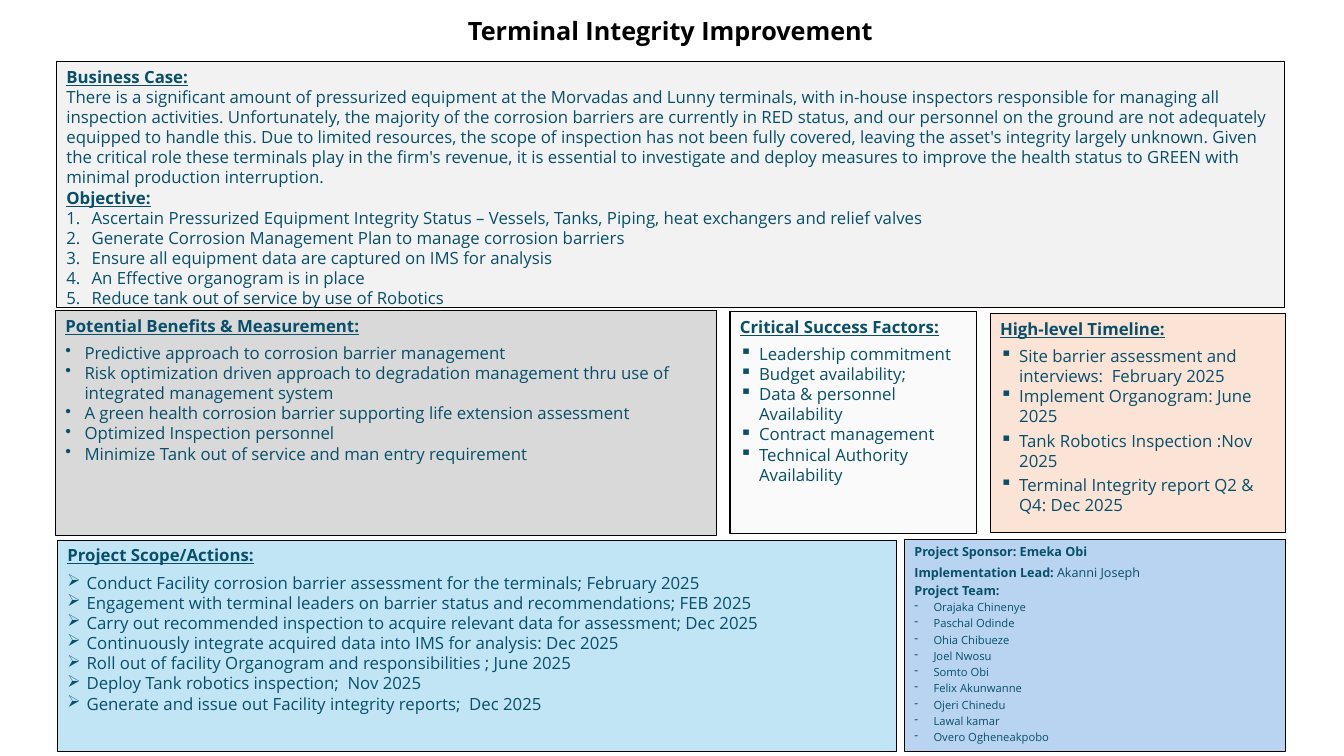
from lxml import etree
from pptx import Presentation
from pptx.dml.color import RGBColor
from pptx.enum import shapes, text
from pptx.oxml.ns import qn
from pptx.util import Inches, Pt

FONT = "Open Sans"
BLACK = RGBColor(0x00, 0x00, 0x00)
TEAL = RGBColor(0x08, 0x4F, 0x6A)
LIGHT_GREY = RGBColor(0xF2, 0xF2, 0xF2)
GREY = RGBColor(0xD9, 0xD9, 0xD9)
OFF_WHITE = RGBColor(0xFA, 0xFA, 0xFA)
PEACH = RGBColor(0xFB, 0xE3, 0xD6)
SKY = RGBColor(0xC1, 0xE5, 0xF5)
BLUE = RGBColor(0xB8, 0xD4, 0xF0)

BUSINESS_CASE = (
    "There is a significant amount of pressurized equipment at the Morvadas and Lunny "
    "terminals, with in-house inspectors responsible for managing all inspection activities. "
    "Unfortunately, the majority of the corrosion barriers are currently in RED status, and our "
    "personnel on the ground are not adequately equipped to handle this. Due to limited "
    "resources, the scope of inspection has not been fully covered, leaving the asset's "
    "integrity largely unknown. Given the critical role these terminals play in the firm's revenue, "
    "it is essential to investigate and deploy measures to improve the health status to GREEN "
    "with minimal production interruption."
)
OBJECTIVES = [
    "Ascertain Pressurized Equipment Integrity Status – Vessels, Tanks, Piping, "
    "heat exchangers and relief valves",
    "Generate Corrosion Management Plan to manage corrosion barriers",
    "Ensure all equipment data are captured on IMS for analysis",
    "An Effective organogram is in place",
    "Reduce tank out of service by use of Robotics",
]
BENEFITS = [
    "Predictive approach to corrosion barrier management",
    "Risk optimization driven approach to degradation management thru use of "
    "integrated management system",
    "A green health corrosion barrier supporting life extension assessment",
    "Optimized Inspection personnel",
    "Minimize Tank out of service and man entry requirement",
]
SUCCESS_FACTORS = [
    "Leadership commitment",
    "Budget availability;",
    "Data & personnel Availability",
    "Contract management",
    "Technical Authority Availability",
]
TIMELINE = [
    "Site barrier assessment and interviews:  February 2025",
    "Implement Organogram: June 2025",
    "Tank Robotics Inspection :Nov 2025",
    "Terminal Integrity report Q2 & Q4: Dec 2025",
]
ACTIONS = [
    "Conduct Facility corrosion barrier assessment for the terminals; February 2025",
    "Engagement with terminal leaders on barrier status and recommendations; FEB 2025",
    "Carry out recommended inspection to acquire relevant data for assessment; Dec 2025",
    "Continuously integrate acquired data into IMS for analysis: Dec 2025",
    "Roll out of facility Organogram and responsibilities ; June 2025",
    "Deploy Tank robotics inspection;  Nov 2025",
    "Generate and issue out Facility integrity reports;  Dec 2025",
]
TEAM = [
    "Orajaka Chinenye", "Paschal Odinde", "Ohia Chibueze", "Joel Nwosu", "Somto Obi",
    "Felix Akunwanne", "Ojeri Chinedu", "Lawal kamar", "Overo Ogheneakpobo",
]


def add_run(p, words, size=12, bold=False, underline=False, color=TEAL):
    r = p.add_run()
    r.text = words
    r.font.name = FONT
    r.font.size = Pt(size)
    r.font.bold = bold
    r.font.underline = underline
    r.font.color.rgb = color


def add_para(tf, words, align=text.PP_ALIGN.LEFT, before=0, after=0, spacing=None, **fmt):
    """Fill the first paragraph of an empty frame, or append a new one."""
    p = tf.add_paragraph() if tf.paragraphs[0].runs else tf.paragraphs[0]
    p.alignment = align
    p.space_before = Pt(before)
    p.space_after = Pt(after)
    if spacing:
        p.line_spacing = spacing
    add_run(p, words, **fmt)
    return p


def add_heading(tf, words, after=5):
    add_para(tf, words, after=after, bold=True, underline=True)


def add_list(tf, items, bullet=None, indent=0.19, **fmt):
    """Hanging list with the given bullet, numbered when there is none."""
    for item in items:
        pPr = add_para(tf, item, **fmt)._p.get_or_add_pPr()
        pPr.set("marL", str(Inches(indent)))
        pPr.set("indent", str(Inches(-indent)))
        if bullet:
            etree.SubElement(pPr, qn("a:buChar")).set("char", bullet)
        else:
            etree.SubElement(pPr, qn("a:buAutoNum")).set("type", "arabicPeriod")


def add_title(s, words):
    tf = s.shapes.add_textbox(Inches(0.56), Inches(0.07), Inches(12.18), Inches(0.5)).text_frame
    tf.word_wrap = True
    tf.vertical_anchor = text.MSO_ANCHOR.MIDDLE
    add_para(tf, words, align=text.PP_ALIGN.CENTER, spacing=0.9, size=18, bold=True, color=BLACK)


def add_panel(s, left, top, width, height, fill):
    """Outlined box; returns its text frame."""
    sp = s.shapes.add_shape(shapes.MSO_SHAPE.RECTANGLE, Inches(left), Inches(top),
                            Inches(width), Inches(height))
    sp.shadow.inherit = False
    sp.fill.solid()
    sp.fill.fore_color.rgb = fill
    sp.line.color.rgb = BLACK
    sp.line.width = Pt(0.75)
    tf = sp.text_frame
    tf.word_wrap = True
    tf.vertical_anchor = text.MSO_ANCHOR.TOP
    return tf


def main():
    prs = Presentation()
    prs.slide_width, prs.slide_height = Inches(13.33), Inches(7.5)
    s = prs.slides.add_slide(prs.slide_layouts[6])
    add_title(s, "Terminal Integrity Improvement")

    tf = add_panel(s, 0.56, 0.61, 12.18, 2.44, LIGHT_GREY)
    add_heading(tf, "Business Case:", after=0)
    add_para(tf, BUSINESS_CASE)
    add_heading(tf, "Objective:", after=0)
    add_list(tf, OBJECTIVES, indent=0.25)

    tf = add_panel(s, 9.82, 3.11, 2.93, 2.17, PEACH)
    add_heading(tf, "High-level Timeline:")
    add_list(tf, TIMELINE[:2], "▪")
    add_list(tf, TIMELINE[2:], "▪", before=3)

    for box, fill, heading, items, bullet in [
        ((0.55, 3.08, 6.56, 2.23), GREY, "Potential Benefits & Measurement:", BENEFITS, "•"),
        ((0.57, 5.36, 8.32, 2.1), SKY, "Project Scope/Actions:", ACTIONS, "➢"),
        ((7.24, 3.09, 2.45, 2.2), OFF_WHITE, "Critical Success Factors:", SUCCESS_FACTORS, "▪"),
    ]:
        tf = add_panel(s, *box, fill)
        add_heading(tf, heading)
        add_list(tf, items, bullet)

    tf = add_panel(s, 8.97, 5.35, 3.78, 2.11, BLUE)
    add_para(tf, "Project Sponsor: Emeka Obi", before=2, size=9, bold=True)
    p = add_para(tf, "Implementation Lead: ", before=2, spacing=1.15, size=9, bold=True)
    add_run(p, "Akanni Joseph", size=9)
    add_para(tf, "Project Team:", before=2, size=9, bold=True)
    add_list(tf, TEAM, "-", before=2, size=8)

    prs.save("out.pptx")


if __name__ == "__main__":
    main()
